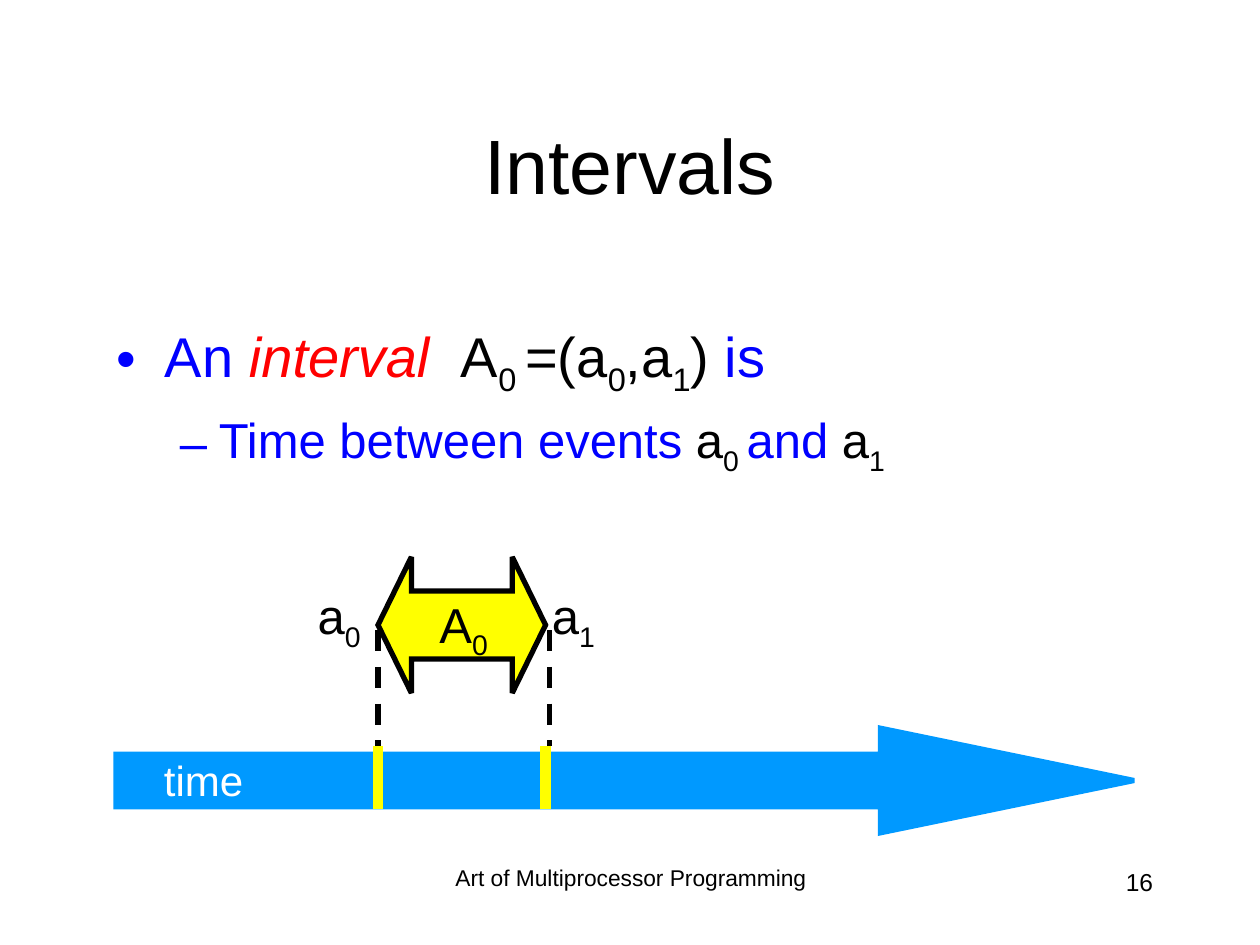
from pptx import Presentation, util as u
from pptx.dml.color import RGBColor
from pptx.enum import dml, shapes, text
from pptx.oxml.ns import qn
from lxml import etree

THEME = {
    "font": "Arial",
    "black": "000000", "blue": "0000FF", "red": "FF0000",
    "yellow": "FFFF00", "sky": "0099FF", "white": "FFFFFF",
    "title": 44, "body": 32, "sub_body": 28, "label": 28,
    "time": 24, "number": 14, "footer": 13,
    "outline": 3, "tick": 6,
}
LEFT, CENTER, RIGHT = (text.PP_ALIGN.LEFT, text.PP_ALIGN.CENTER,
                       text.PP_ALIGN.RIGHT)

# A run is (text, colour, style); style is "", "italic" or "subscript".
BULLETS = [
    {"mark": "•", "size": "body", "margin": 0.38, "hang": 0.38, "before": 8,
     "runs": [("An ", "blue", ""), ("interval  ", "red", "italic"),
              ("A", "black", ""), ("0 ", "black", "subscript"),
              ("=(a", "black", ""), ("0", "black", "subscript"),
              (",a", "black", ""), ("1", "black", "subscript"),
              (")", "black", ""), (" is", "blue", "")]},
    {"mark": "–", "size": "sub_body", "margin": 0.81, "hang": 0.31, "before": 7,
     "runs": [("Time between events ", "blue", ""), ("a", "black", ""),
              ("0 ", "black", "subscript"), ("and ", "blue", ""),
              ("a", "black", ""), ("1", "black", "subscript")]},
]
# Single-line texts: box, runs, size, alignment, wrap
FOOTER = ((3.42, 6.83, 3.17, 0.5),
          [("Art of Multiprocessor Programming", "black", "")],
          "footer", CENTER, True)
NUMBER = ((7.17, 6.83, 2.08, 0.5), [("16", "black", "")], "number", RIGHT, True)
TITLE = ((0.75, 0.67, 8.5, 1.25), [("Intervals", "black", "")],
         "title", CENTER, True)
TIME = ((1.2, 5.94, 0.83, 0.5), [("time", "white", "")], "time", RIGHT, False)
EVENT_LABELS = [  # name, index, box
    ("a", "0", (2.42, 4.6, 0.54, 0.63)),
    ("a", "1", (4.28, 4.6, 0.54, 0.63)),
]
INTERVAL_LABEL = ("A", "0", (3.36, 4.67, 0.61, 0.63))

BODY_BOX = (0.83, 2.5, 8.5, 3.58)
TIMELINE_BOX = (0.92, 5.78, 8.08, 0.83)
INTERVAL_BOX = (3, 4.42, 1.33, 1.08)
DASH_XS, TICK_XS = (3, 4.36), (3, 4.33)
DASH_TOP, TICK_TOP, TICK_BOTTOM = 5, 5.92, 6.42


def color(name):
    return RGBColor.from_string(THEME[name])


def add_runs(paragraph, runs, size):
    for words, color_name, style in runs:
        run = paragraph.add_run()
        run.text = words
        run.font.name = THEME["font"]
        run.font.size = u.Pt(THEME[size])
        run.font.color.rgb = color(color_name)
        if style == "italic":
            run.font.italic = True
        elif style == "subscript":
            run.font._element.set("baseline", "-25000")


def add_frame(slide, box, wrap=True):
    frame = slide.shapes.add_textbox(*map(u.Inches, box)).text_frame
    frame.word_wrap = wrap
    if not wrap:
        frame.auto_size = text.MSO_AUTO_SIZE.SHAPE_TO_FIT_TEXT
    return frame


def add_text(slide, box, runs, size, align, wrap):
    frame = add_frame(slide, box, wrap)
    frame.paragraphs[0].alignment = align
    add_runs(frame.paragraphs[0], runs, size)
    return frame


def add_indexed_label(slide, name, index, box):
    runs = [(name, "black", ""), (index, "black", "subscript")]
    add_text(slide, box, runs, "label", RIGHT, False)


def add_bullets(slide):
    frame = add_frame(slide, BODY_BOX)
    for number, item in enumerate(BULLETS):
        paragraph = frame.add_paragraph() if number else frame.paragraphs[0]
        paragraph.alignment = LEFT
        paragraph.level = number
        paragraph.space_before = u.Pt(item["before"])
        properties = paragraph._p.get_or_add_pPr()
        properties.set("marL", str(u.Inches(item["margin"])))
        properties.set("indent", str(-u.Inches(item["hang"])))
        bullet_color = etree.SubElement(properties, qn("a:buClr"))
        etree.SubElement(bullet_color, qn("a:srgbClr"), val=THEME["blue"])
        etree.SubElement(properties, qn("a:buFont"), typeface=THEME["font"])
        etree.SubElement(properties, qn("a:buChar"), char=item["mark"])
        add_runs(paragraph, item["runs"], item["size"])


def add_arrow(slide, kind, box, adjustments, fill, outline):
    shape = slide.shapes.add_shape(kind, *map(u.Inches, box))
    shape.shadow.inherit = False
    for number, value in enumerate(adjustments):
        shape.adjustments[number] = value
    shape.fill.solid()
    shape.fill.fore_color.rgb = color(fill)
    shape.line.color.rgb = color(outline)
    shape.line.width = u.Pt(THEME["outline"])
    etree.SubElement(shape.line._ln, qn("a:miter"), lim="800000")
    return shape


def add_vertical_line(slide, x, top, bottom, color_name, width, dashed=False):
    line = slide.shapes.add_connector(
        shapes.MSO_CONNECTOR.STRAIGHT, *map(u.Inches, (x, top, x, bottom)))
    line.line.color.rgb = color(color_name)
    line.line.width = u.Pt(THEME[width])
    if dashed:
        line.line.dash_style = dml.MSO_LINE.DASH
    etree.SubElement(line._element.spPr, qn("a:effectLst"))


def main():
    presentation = Presentation()
    presentation.slide_width = u.Inches(10)
    presentation.slide_height = u.Inches(7.5)
    slide = presentation.slides.add_slide(presentation.slide_layouts[6])

    footer = add_text(slide, *FOOTER)
    footer.paragraphs[0].line_spacing = 0.9
    add_text(slide, *NUMBER)
    add_arrow(slide, shapes.MSO_SHAPE.RIGHT_ARROW, TIMELINE_BOX,
              (0.5, 2.425), "sky", "sky")
    add_text(slide, *TIME)
    add_bullets(slide)

    for x, label in zip(DASH_XS, EVENT_LABELS):
        add_vertical_line(slide, x, DASH_TOP, TICK_TOP, "black", "outline", True)
        add_indexed_label(slide, *label)
    interval = add_arrow(slide, shapes.MSO_SHAPE.LEFT_RIGHT_ARROW, INTERVAL_BOX,
                         (0.5, 0.245), "yellow", "black")
    interval.rotation = 180
    title = add_text(slide, *TITLE)
    title.vertical_anchor = text.MSO_ANCHOR.MIDDLE
    add_indexed_label(slide, *INTERVAL_LABEL)
    for x in TICK_XS:
        add_vertical_line(slide, x, TICK_TOP, TICK_BOTTOM, "yellow", "tick")

    presentation.save("out.pptx")


if __name__ == "__main__":
    main()
